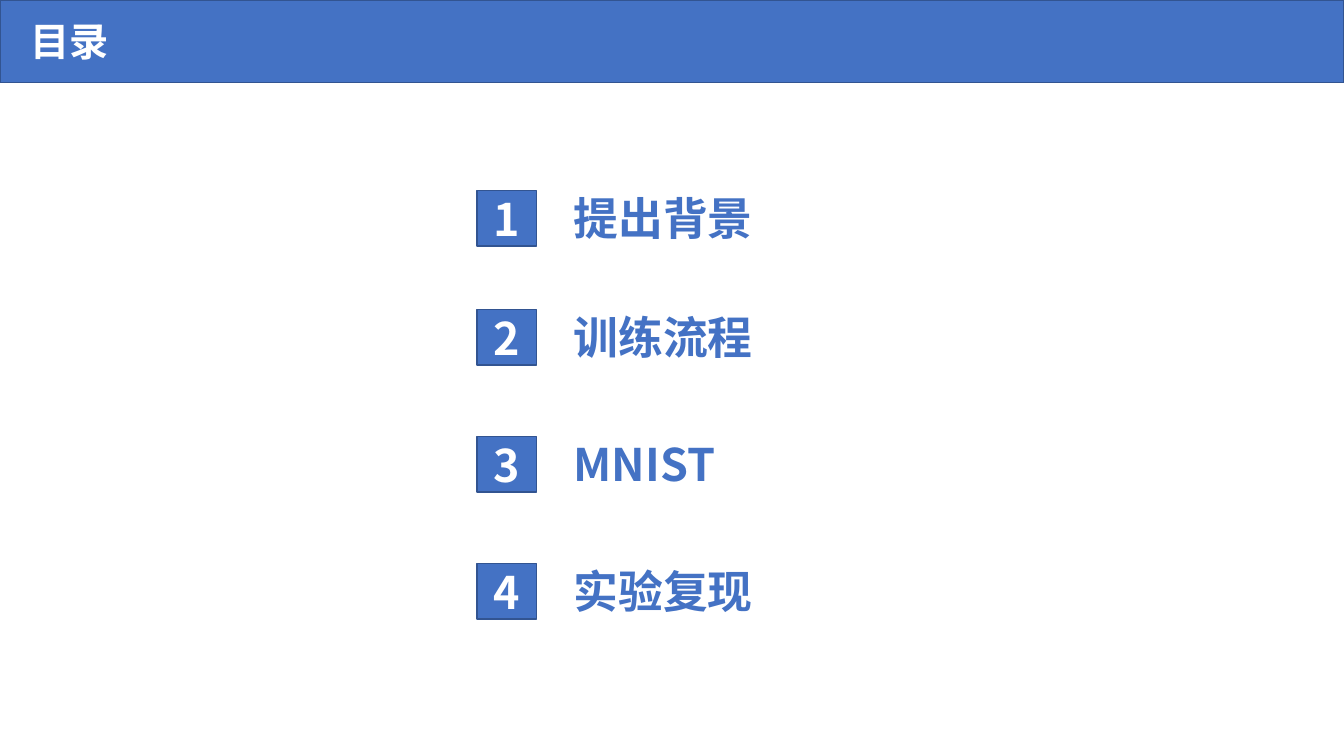
import pptx
import pptx.util
import pptx.dml.color
import pptx.enum.shapes
import pptx.enum.text
import pptx.oxml
import pptx.oxml.ns
from dataclasses import dataclass

# Content: heading, then each topic with the top of its row in inches
HEAD = "目录"
TOPICS = [
    ("提出背景", 1.89),
    ("训练流程", 3.07),
    ("MNIST", 4.33),
    ("实验复现", 5.59),
]


@dataclass(frozen=True)
class Theme:
    blue: str = "4472C4"
    edge: str = "325491"
    white: str = "FFFFFF"
    font: str = "Noto Sans CJK SC"
    head: int = 28
    item: int = 32
    lead: int = 25


THEME = Theme()
WIDE, HIGH = 13.33, 7.5
BAR = 0.82
BADGE = (4.73, 0.59, 0.55)         # left, width, height
LABEL = (5.59, 2.77, 0.47, 0.14)   # left, width, height, drop below row top

Inch, Pt = pptx.util.Inches, pptx.util.Pt
Align = pptx.enum.text.PP_ALIGN


def color(code):
    return pptx.dml.color.RGBColor.from_string(code)


def write(shape, text, size, code, align=Align.LEFT, lead=None):
    """Put one bold run into a shape."""
    para = shape.text_frame.paragraphs[0]
    para.alignment = align
    if lead:
        para.line_spacing = Pt(lead)
    run = para.add_run()
    run.text = text
    font = run.font
    font.name, font.size, font.bold = THEME.font, Pt(size), True
    font.color.rgb = color(code)
    east = pptx.oxml.parse_xml(
        f'<a:ea {pptx.oxml.ns.nsdecls("a")} typeface="{THEME.font}"/>')
    run.font._element.find(pptx.oxml.ns.qn("a:latin")).addnext(east)


def block(home, *place):
    """Add a blue box with a dark edge."""
    kind = pptx.enum.shapes.MSO_SHAPE.RECTANGLE
    box = home.add_shape(kind, *map(Inch, place))
    box.shadow.inherit = False
    box.fill.solid()
    box.fill.fore_color.rgb = color(THEME.blue)
    box.line.color.rgb = color(THEME.edge)
    box.line.width = Pt(1)
    return box


def label(home, *place):
    """Add a wrapped text box that grows with its text."""
    box = home.add_textbox(*map(Inch, place))
    box.text_frame.word_wrap = True
    box.text_frame.auto_size = pptx.enum.text.MSO_AUTO_SIZE.SHAPE_TO_FIT_TEXT
    return box


def main():
    deck = pptx.Presentation()
    deck.slide_width, deck.slide_height = Inch(WIDE), Inch(HIGH)
    shapes = deck.slides.add_slide(deck.slide_layouts[6]).shapes

    # Title bar
    block(shapes, 0, 0, WIDE, BAR)
    write(label(shapes, 0.2, 0.12, 8.73, 0.57), HEAD, THEME.head, THEME.white)

    # Numbered topics, one group per row
    left, width, height = BADGE
    start, span, tall, drop = LABEL
    for num, (topic, top) in enumerate(TOPICS, 1):
        row = shapes.add_group_shape().shapes
        badge = block(row, left, top, width, height)
        badge.text_frame.vertical_anchor = pptx.enum.text.MSO_ANCHOR.MIDDLE
        write(badge, str(num), THEME.item, THEME.white, Align.CENTER)
        name = label(row, start, top + drop, span, tall)
        write(name, topic, THEME.item, THEME.blue, lead=THEME.lead)

    deck.save("out.pptx")


if __name__ == "__main__":
    main()
